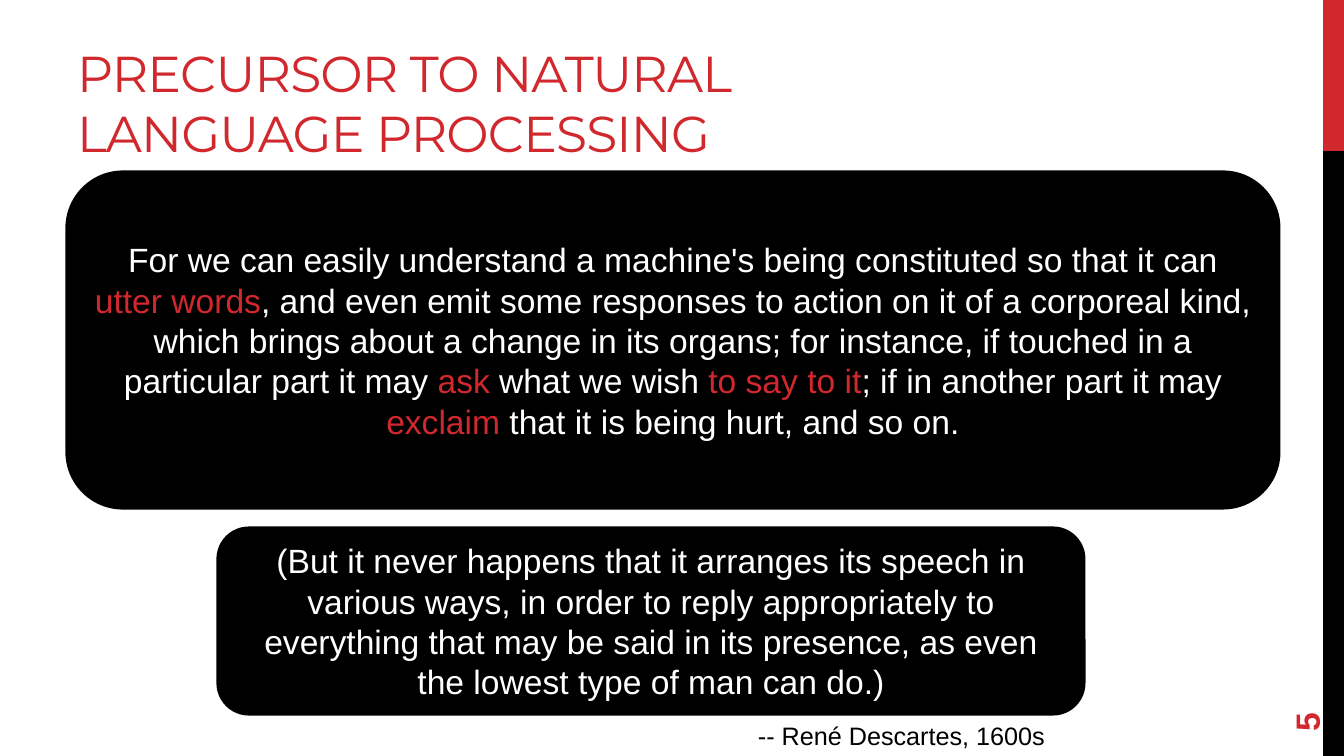
from dataclasses import dataclass

from pptx import Presentation
from pptx import util as u
from pptx.dml.color import RGBColor
from pptx.enum import shapes, text

TITLE = "PRECURSOR TO NATURAL LANGUAGE PROCESSING"
PAGE = "5"
CREDIT = "-- René Descartes, 1600s"
SPEECH = [
    ("For we can easily understand a machine's being constituted so that it can ", False),
    ("utter words", True),
    (", and even emit some responses to action on it of a corporeal kind, which brings "
     "about a change in its organs; for instance, if touched in a particular part it may ", False),
    ("ask", True),
    (" what we wish ", False),
    ("to say to it", True),
    ("; if in another part it may ", False),
    ("exclaim", True),
    (" that it is being hurt, and so on.", False),
]
LIMIT = [
    ("(But it never happens that it arranges its speech in various ways, in order to reply "
     "appropriately to everything that may be said in its presence, as even the lowest type "
     "of man can do.)", False),
]

PX = 914400 / 100.8
SLIDE_W, SLIDE_H = 1344, 756
BAR_X, BAR_SPLIT = 1323, 151


@dataclass(frozen=True)
class Theme:
    red: RGBColor = RGBColor(0xD1, 0x28, 0x2E)
    black: RGBColor = RGBColor(0, 0, 0)
    white: RGBColor = RGBColor(255, 255, 255)
    title_font: str = "Montserrat"
    body_font: str = "Arial"
    title: int = 36
    body: int = 24
    credit: int = 18
    border: float = 2.25


T = Theme()


def px(*lengths):
    return [u.Emu(round(n * PX)) for n in lengths]


def style(r, size, color, name=T.body_font, bold=False):
    r.font.size = u.Pt(size)
    r.font.name = name
    r.font.bold = bold
    r.font.color.rgb = color


def add_block(s, kind, box, color):
    sp = s.shapes.add_shape(kind, *px(*box))
    sp.shadow.inherit = False
    sp.fill.solid()
    sp.fill.fore_color.rgb = color
    sp.line.fill.background()
    return sp


def add_quote(s, box, parts):
    sp = add_block(s, shapes.MSO_SHAPE.ROUNDED_RECTANGLE, box, T.black)
    sp.line.color.rgb = T.black
    sp.line.width = u.Pt(T.border)
    tf = sp.text_frame
    tf.word_wrap = True
    tf.vertical_anchor = text.MSO_ANCHOR.MIDDLE
    p = tf.paragraphs[0]
    p.alignment = text.PP_ALIGN.CENTER
    for words, marked in parts:
        r = p.add_run()
        r.text = words
        style(r, T.body, T.red if marked else T.white)


def add_label(s, box, words, size, color, bold=False):
    sp = s.shapes.add_textbox(*px(*box))
    tf = sp.text_frame
    tf.word_wrap = True
    tf.text = words
    style(tf.paragraphs[0].runs[0], size, color, bold=bold)
    return sp


def set_title(s):
    sp = s.shapes.title
    sp.left, sp.top, sp.width, sp.height = px(67, 17, 851, 151)
    tf = sp.text_frame
    tf.text = TITLE
    tf.word_wrap = True
    tf.auto_size = text.MSO_AUTO_SIZE.NONE
    tf.vertical_anchor = text.MSO_ANCHOR.BOTTOM
    p = tf.paragraphs[0]
    p.alignment = text.PP_ALIGN.LEFT
    r = p.runs[0]
    style(r, T.title, T.red, T.title_font)
    r._r.get_or_add_rPr().set("spc", "-60")


def main():
    prs = Presentation()
    prs.slide_width, prs.slide_height = px(SLIDE_W, SLIDE_H)
    s = prs.slides.add_slide(prs.slide_layouts[5])
    set_title(s)

    for top, bottom, color in ((0, BAR_SPLIT, T.red), (BAR_SPLIT, SLIDE_H, T.black)):
        add_block(s, shapes.MSO_SHAPE.RECTANGLE,
                  (BAR_X, top, SLIDE_W - BAR_X, bottom - top), color)

    page = add_label(s, (1234, 642, 145, 53), PAGE, T.body, T.red, bold=True)
    page.rotation = 270
    page.text_frame.vertical_anchor = text.MSO_ANCHOR.MIDDLE

    add_quote(s, (67, 172, 1212, 336), SPEECH)

    credit = add_label(s, (718, 715, 351, 40), CREDIT, T.credit, T.black)
    credit.text_frame.margin_right = px(24)[0]
    credit.text_frame.paragraphs[0].alignment = text.PP_ALIGN.RIGHT

    add_quote(s, (218, 528, 866, 186), LIMIT)
    prs.save("out.pptx")


if __name__ == "__main__":
    main()
